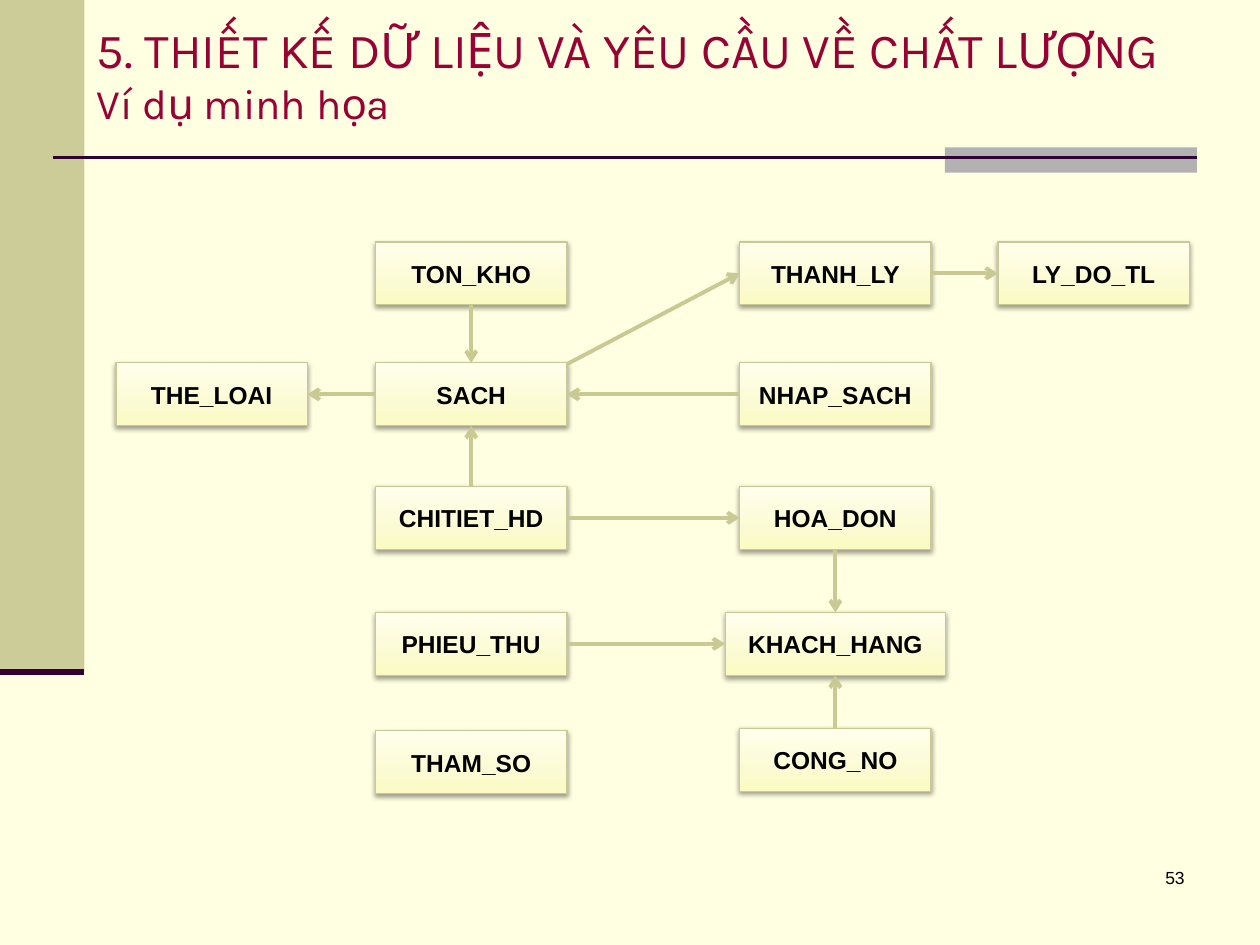
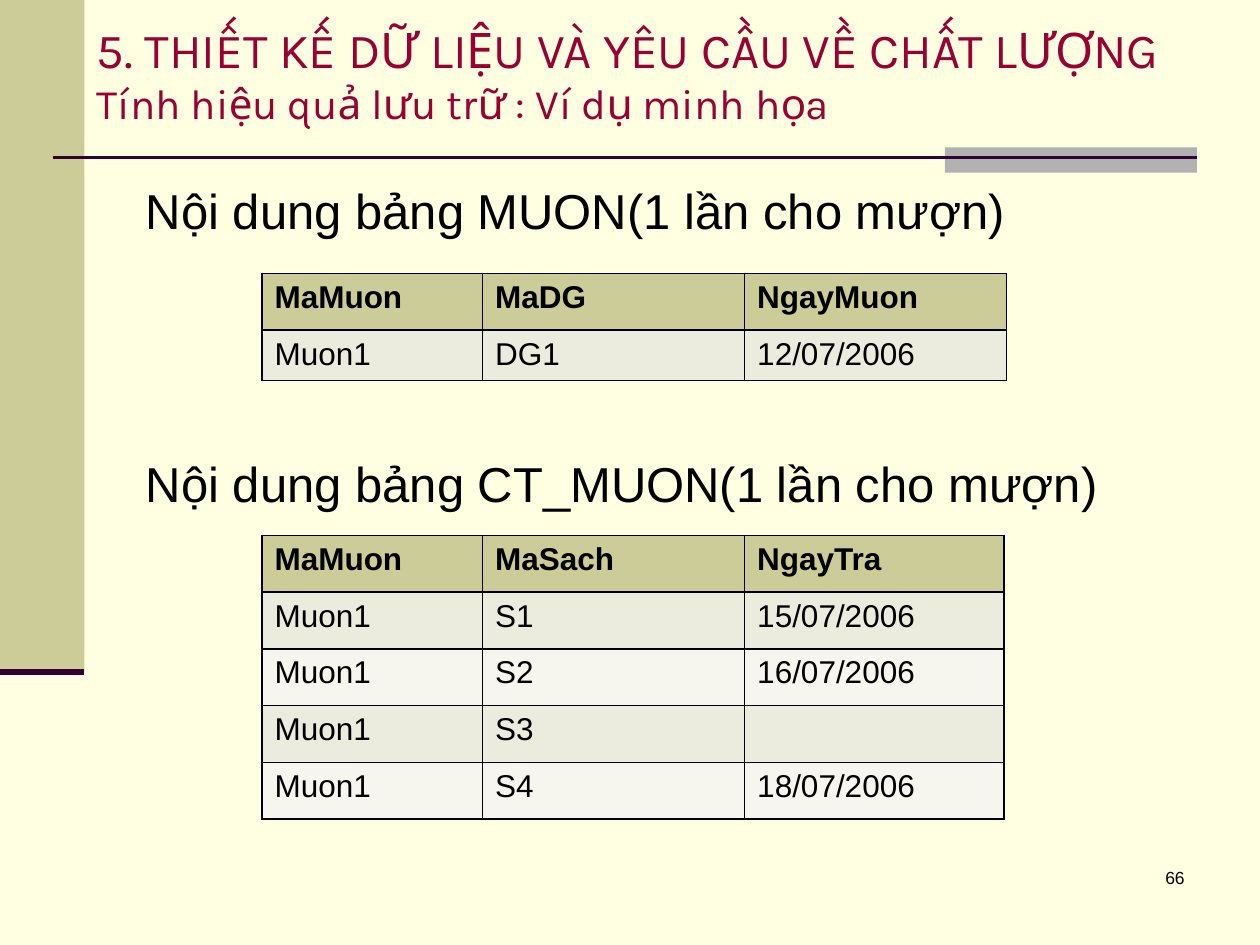
from dataclasses import dataclass

from lxml import etree
from pptx import Presentation
from pptx.dml.color import RGBColor
from pptx.enum.shapes import MSO_CONNECTOR, MSO_SHAPE
from pptx.enum.text import MSO_ANCHOR, PP_ALIGN
from pptx.oxml.ns import qn
from pptx.util import Inches, Pt

RECTANGLE = MSO_SHAPE.RECTANGLE
STRAIGHT = MSO_CONNECTOR.STRAIGHT
TOP_ANCHOR, MIDDLE = MSO_ANCHOR.TOP, MSO_ANCHOR.MIDDLE
LEFT_ALIGN, CENTER, RIGHT_ALIGN = PP_ALIGN.LEFT, PP_ALIGN.CENTER, PP_ALIGN.RIGHT

# Connection sites of a rectangle
TOP, LEFT, BOTTOM, RIGHT = range(4)


@dataclass(frozen=True)
class Theme:
    # Colours
    background: str = "FFFFE1"
    band: str = "CCCC99"
    accent: str = "B2B2B2"
    rule: str = "330033"
    title: str = "990033"
    text: str = "000000"
    outline: str = "C9C994"
    gradient: tuple = ((0, "FBFBC1"), (35, "FBFBD3"), (100, "FFFFED"))
    row_fills: tuple = ("ECECDE", "F6F6EF")
    # Fonts and type sizes
    title_font: str = "Karla"
    body_font: str = "Arial"
    title_size: int = 28
    subtitle_size: int = 24
    heading_size: int = 28
    table_size: int = 18
    box_size: int = 14
    number_size: int = 10


def color(value):
    return RGBColor.from_string(value)


def add_xml(parent, tag, **attributes):
    return etree.SubElement(parent, qn(tag), attributes)


class SlideBuilder:
    BOX_WIDTH, BOX_HEIGHT = 1.52, 0.5

    def __init__(self, presentation, theme):
        self.presentation = presentation
        self.theme = theme
        self.slide = None

    def new_slide(self, subtitle, number):
        """Start a slide with the shared band, rules, title and number."""
        theme = self.theme
        layout = self.presentation.slide_layouts[6]
        self.slide = self.presentation.slides.add_slide(layout)
        fill = self.slide.background.fill
        fill.solid()
        fill.fore_color.rgb = color(theme.background)

        self.block(0, 0, 0.67, 5.33, theme.band)
        self.block(7.5, 1.17, 2, 0.2, theme.accent)
        self.line((0.42, 1.25), (9.5, 1.25), theme.rule, 1.5)
        self.line((0, 5.33), (0.67, 5.33), theme.rule, 3.5)

        paragraph = self.text_box(0.67, 0, 9.33, 1.17, anchor=MIDDLE)
        title = "5. THIẾT KẾ DỮ LIỆU VÀ YÊU CẦU VỀ CHẤT LƯỢNG"
        self.run(paragraph, title, theme.title_size, theme.title, theme.title_font)
        paragraph.add_line_break()
        self.run(paragraph, subtitle, theme.subtitle_size, theme.title, theme.title_font)

        paragraph = self.text_box(7.42, 6.83, 2.08, 0.5, RIGHT_ALIGN)
        self.run(paragraph, number, theme.number_size)

    def run(self, paragraph, text, size, text_color=None, font=None, bold=False):
        run = paragraph.add_run()
        run.text = text
        run.font.name = font or self.theme.body_font
        run.font.size = Pt(size)
        run.font.bold = bold
        run.font.color.rgb = color(text_color or self.theme.text)

    def text_box(self, left, top, width, height, align=LEFT_ALIGN, anchor=TOP_ANCHOR):
        shape = self.slide.shapes.add_textbox(
            Inches(left), Inches(top), Inches(width), Inches(height))
        frame = shape.text_frame
        frame.word_wrap = True
        frame.vertical_anchor = anchor
        paragraph = frame.paragraphs[0]
        paragraph.alignment = align
        return paragraph

    def heading(self, text, top):
        paragraph = self.text_box(1.06, top, 8.44, 0.55)
        self.run(paragraph, text, self.theme.heading_size)

    def block(self, left, top, width, height, fill_color):
        shape = self.slide.shapes.add_shape(
            RECTANGLE, Inches(left), Inches(top), Inches(width), Inches(height))
        shape.shadow.inherit = False
        shape.fill.solid()
        shape.fill.fore_color.rgb = color(fill_color)
        shape.line.fill.background()
        return shape

    def entity(self, name, center, top, width=BOX_WIDTH):
        """Draw a labelled box with a gradient and a soft shadow."""
        theme = self.theme
        shape = self.block(center - width / 2, top, width, self.BOX_HEIGHT, theme.band)
        shape.line.color.rgb = color(theme.outline)
        shape.line.width = Pt(0.75)

        shape.fill.gradient()
        shape.fill.gradient_angle = 90
        properties = shape._element.spPr
        stops = properties.find(qn("a:gradFill")).find(qn("a:gsLst"))
        for stop in list(stops):
            stops.remove(stop)
        for position, value in theme.gradient:
            stop = add_xml(stops, "a:gs", pos=str(position * 1000))
            add_xml(stop, "a:srgbClr", val=value)

        shadow = add_xml(properties.find(qn("a:effectLst")), "a:outerShdw",
                         blurRad=str(Pt(3.1)), dist=str(Pt(1.6)),
                         dir="5400000", rotWithShape="0")
        shadow_color = add_xml(shadow, "a:srgbClr", val=theme.text)
        add_xml(shadow_color, "a:alpha", val="38000")

        frame = shape.text_frame
        frame.word_wrap = True
        frame.vertical_anchor = MIDDLE
        paragraph = frame.paragraphs[0]
        paragraph.alignment = CENTER
        self.run(paragraph, name, theme.box_size, bold=True)
        return shape

    def line(self, start, end, line_color, width):
        connector = self.slide.shapes.add_connector(
            STRAIGHT, *(Inches(value) for value in (*start, *end)))
        connector.line.color.rgb = color(line_color)
        connector.line.width = Pt(width)
        add_xml(connector._element.spPr, "a:effectLst")
        return connector

    def arrow(self, start=(0, 0), end=(0, 0)):
        connector = self.line(start, end, self.theme.outline, 2.25)
        add_xml(connector.line._get_or_add_ln(), "a:tailEnd", type="arrow")
        return connector

    def table(self, left, top, widths, heights, rows):
        theme = self.theme
        table = self.slide.shapes.add_table(
            len(rows), len(widths), Inches(left), Inches(top),
            Inches(sum(widths)), Inches(sum(heights))).table
        for column, width in zip(table.columns, widths):
            column.width = Inches(width)
        for row_index, values in enumerate(rows):
            is_header = row_index == 0
            table.rows[row_index].height = Inches(heights[row_index])
            fill_color = theme.band if is_header else theme.row_fills[(row_index - 1) % 2]
            for column_index, value in enumerate(values):
                cell = table.cell(row_index, column_index)
                self.cell_borders(cell)
                cell.fill.solid()
                cell.fill.fore_color.rgb = color(fill_color)
                if value:
                    self.run(cell.text_frame.paragraphs[0], value,
                             theme.table_size, bold=is_header)

    def cell_borders(self, cell):
        properties = cell._tc.get_or_add_tcPr()
        for side in ("a:lnL", "a:lnR", "a:lnT", "a:lnB"):
            border = add_xml(properties, side, w=str(Pt(1)))
            add_xml(add_xml(border, "a:solidFill"), "a:srgbClr", val=self.theme.text)


def build_diagram(builder):
    builder.new_slide("Ví dụ minh họa", "53")

    # Entities: name, column, row
    centers = (1.68, 3.74, 6.63, 8.68)
    tops = (1.92, 2.88, 3.86, 4.86, 5.78)
    places = (
        ("TON_KHO", 1, 0), ("SACH", 1, 1), ("NHAP_SACH", 2, 1),
        ("LY_DO_TL", 3, 0), ("THANH_LY", 2, 0), ("THE_LOAI", 0, 1),
        ("CHITIET_HD", 1, 2), ("HOA_DON", 2, 2), ("PHIEU_THU", 1, 3),
        ("CONG_NO", 2, 4),
    )
    entities = {name: builder.entity(name, centers[column], tops[row])
                for name, column, row in places}
    entities["KHACH_HANG"] = builder.entity("KHACH_HANG", centers[2], tops[3], 1.75)
    builder.entity("THAM_SO", centers[1], 5.8)

    # Relations
    relations = (
        ("TON_KHO", BOTTOM, "SACH", TOP),
        ("SACH", LEFT, "THE_LOAI", RIGHT),
        ("CHITIET_HD", RIGHT, "HOA_DON", LEFT),
        ("CHITIET_HD", TOP, "SACH", BOTTOM),
        ("PHIEU_THU", RIGHT, "KHACH_HANG", LEFT),
        ("CONG_NO", TOP, "KHACH_HANG", BOTTOM),
        ("HOA_DON", BOTTOM, "KHACH_HANG", TOP),
        ("NHAP_SACH", LEFT, "SACH", RIGHT),
        ("THANH_LY", RIGHT, "LY_DO_TL", LEFT),
    )
    for source, source_side, target, target_side in relations:
        arrow = builder.arrow()
        arrow.begin_connect(entities[source], source_side)
        arrow.end_connect(entities[target], target_side)

    # The diagonal leaves from a corner of SACH
    diagonal = builder.arrow((4.5, 2.89), (5.87, 2.17))
    diagonal.end_connect(entities["THANH_LY"], LEFT)


def build_tables(builder):
    builder.new_slide("Tính hiệu quả lưu trữ : Ví dụ minh họa", "66")

    # Loan table
    builder.heading("Nội dung bảng MUON(1 lần cho mượn)", 1.38)
    builder.table(2.08, 2.17, (1.75, 2.08, 2.08), (0.45, 0.38), (
        ("MaMuon", "MaDG", "NgayMuon"),
        ("Muon1", "DG1", "12/07/2006"),
    ))

    # Loan detail table
    builder.heading("Nội dung bảng CT_MUON(1 lần cho mượn)", 3.55)
    builder.table(2.08, 4.25, (1.75, 2.08, 2.06), (0.45,) * 5, (
        ("MaMuon", "MaSach", "NgayTra"),
        ("Muon1", "S1", "15/07/2006"),
        ("Muon1", "S2", "16/07/2006"),
        ("Muon1", "S3", ""),
        ("Muon1", "S4", "18/07/2006"),
    ))


def main():
    presentation = Presentation()
    presentation.slide_width = Inches(10)
    presentation.slide_height = Inches(7.5)
    builder = SlideBuilder(presentation, Theme())
    build_diagram(builder)
    build_tables(builder)
    presentation.save("out.pptx")


if __name__ == "__main__":
    main()
